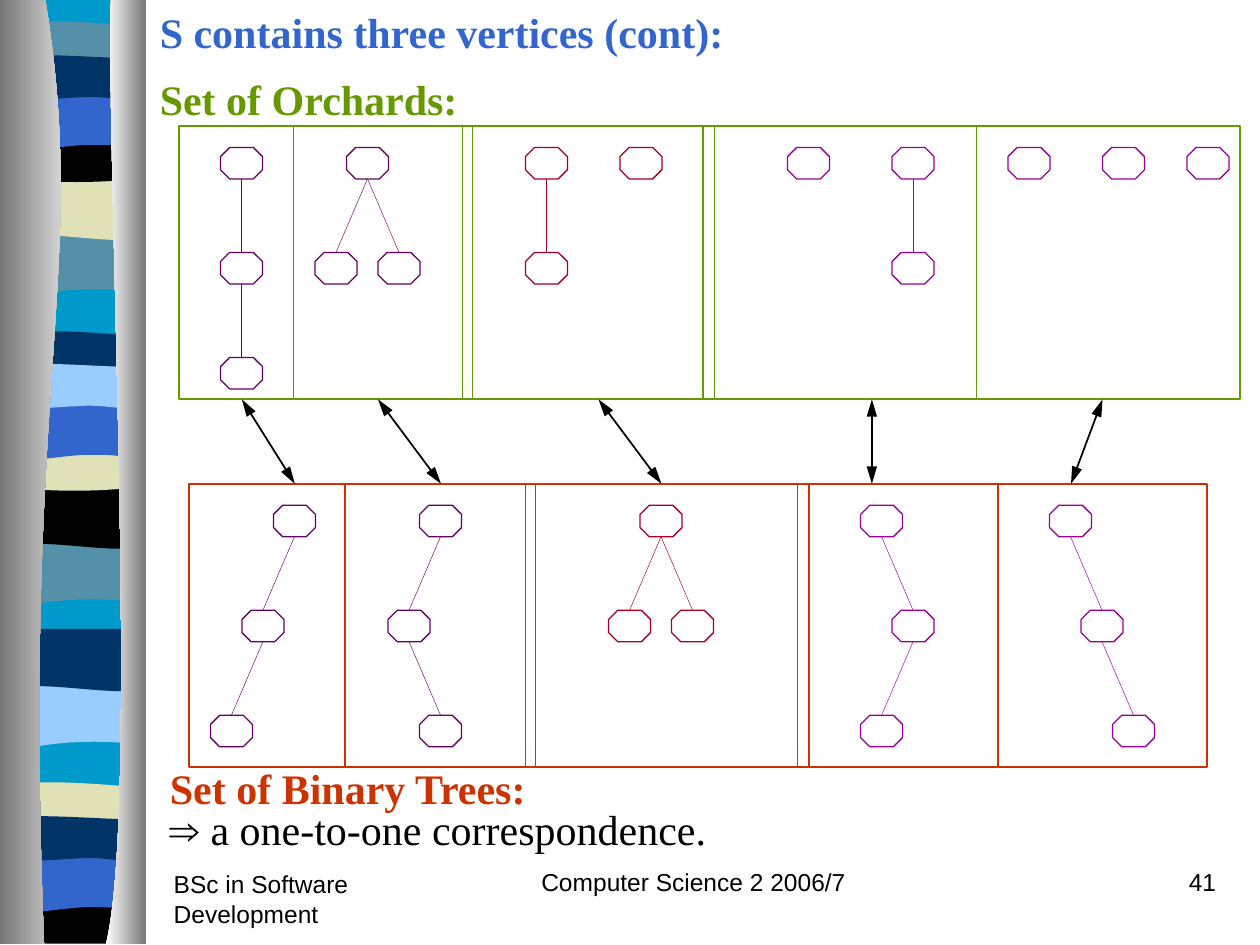
from dataclasses import dataclass

import lxml.etree
import pptx
import pptx.dml.color
import pptx.enum.shapes
import pptx.enum.text
import pptx.oxml.ns
import pptx.util

Inches = pptx.util.Inches
Pt = pptx.util.Pt
SHAPES = pptx.enum.shapes.MSO_SHAPE
ALIGN = pptx.enum.text.PP_ALIGN
Point = tuple[float, float]

BLACK, NAVY, BLUE, CYAN = "000000", "003366", "3366CC", "0099CC"
SKY, TEAL, SAND = "99CCFF", "5490A8", "E1E1B7"
GREEN, ORANGE = "669900", "CC3300"
PURPLE, RED, MAGENTA = "660066", "A50021", "990099"
SILVER, WHITE = "767676", "FFFFFF"
SERIF, SANS = "Times New Roman", "Arial"

NODE_WIDTH, NODE_HEIGHT, LEVEL_STEP = 1 / 3, 0.25, 5 / 6
RIBBON_WIDTH, RIBBON_BOTTOM = 1.08, 7.49
UNITS_PER_INCH = 1000


@dataclass(frozen=True)
class Wave:
    """Band outline: Bezier controls from the right end (bottom) and left end (top)."""
    height: float
    bottom: tuple[Point, ...] = ()
    top: tuple[Point, ...] = ()


@dataclass(frozen=True)
class Band:
    left: float
    top: float
    wave: Wave
    colour: str


@dataclass(frozen=True)
class Tree:
    """Nodes are (left, level); edges are (parent, child) node numbers."""
    colour: str
    nodes: tuple[tuple[float, int], ...]
    edges: tuple[tuple[int, int], ...] = ()


@dataclass(frozen=True)
class Panel:
    left: float
    top: float
    width: float
    height: float
    colour: str
    dividers: tuple[float, ...]
    first_level: float
    trees: tuple[Tree, ...]


@dataclass(frozen=True)
class Span:
    text: str
    colour: str = BLACK
    size: int = 24
    name: str = SERIF
    bold: bool = False


SWELL = Wave(0.47, ((-0.75, -0.08), (-0.9, 0.08), (-1.08, 0)))
ROLL = Wave(0.47, ((-0.18, 0.08), (-0.75, -0.06), (-1.08, 0)))
THIN = Wave(0.24, ((-0.18, 0.04), (-0.9, 0.04), (-1.08, 0)),
            ((0.06, -0.05), (0.23, -0.04), (0.41, -0.04),
             (0.59, -0.04), (0.94, -0.01), (1.08, 0)))
SAG_TOP = ((0.66, 0.05), (0.85, 0), (1.08, 0))
SAG = Wave(0.32, ((-0.18, 0.06), (-0.9, 0.06), (-1.08, 0)), SAG_TOP)
FLAT = Wave(0.37, (), SAG_TOP)
ARCH = Wave(0.47, ((-0.17, -0.06), (-0.24, -0.06), (-0.42, -0.06),
                   (-0.6, -0.06), (-0.92, 0), (-1.08, 0)))
RIPPLE = Wave(0.31, ((-0.07, 0.05), (-0.24, 0), (-0.42, 0),
                     (-0.6, 0), (-0.97, 0.05), (-1.08, 0)),
              ((0.15, -0.05), (0.73, 0), (0.91, 0), (1.09, 0), (1.04, 0), (1.08, 0)))

BANDS = (
    Band(0.06, 0, Wave(RIBBON_BOTTOM - 0.02), CYAN),
    Band(0.06, 1.85, SWELL, TEAL), Band(0.06, 1.41, ROLL, SAND),
    Band(0.06, 0.21, THIN, TEAL), Band(0.06, 1.08, SAG, BLACK),
    Band(0.06, 0.74, ARCH, BLUE), Band(0.06, 0.46, RIPPLE, NAVY),
    Band(0.05, 4.31, SWELL, TEAL), Band(0.05, 3.86, ROLL, BLACK),
    Band(0.05, 2.67, THIN, NAVY), Band(0.05, 3.53, SAG, SAND),
    Band(0.05, 3.2, ARCH, BLUE), Band(0.05, 2.91, RIPPLE, SKY),
    Band(0.06, 5.44, SWELL, SKY), Band(0.06, 4.99, ROLL, NAVY),
    Band(0.05, 6.25, THIN, SAND), Band(0.05, 7.12, FLAT, BLACK),
    Band(0.05, 6.79, ARCH, BLUE), Band(0.05, 6.5, RIPPLE, NAVY),
)

CHAIN, FORK = ((0, 1), (1, 2)), ((0, 1), (0, 2))
ORCHARDS = Panel(1.42, 1, 8.42, 2.17, GREEN, (2.33, 3.67, 3.75, 5.58, 5.67, 7.75), 1.17, (
    Tree(PURPLE, ((1.75, 0), (1.75, 1), (1.75, 2)), CHAIN),
    Tree(PURPLE, ((2.75, 0), (2.5, 1), (3, 1)), FORK),
    Tree(RED, ((4.17, 0), (4.17, 1), (4.92, 0)), ((0, 1),)),
    Tree(MAGENTA, ((7.08, 0), (7.08, 1), (6.25, 0)), ((0, 1),)),
    Tree(MAGENTA, ((8, 0), (8.75, 0), (9.42, 0))),
))
BINARY_TREES = Panel(1.5, 3.84, 8.08, 2.25, ORANGE, (2.74, 4.17, 4.25, 6.33, 6.42, 7.92), 4.01, (
    Tree(PURPLE, ((2.17, 0), (1.92, 1), (1.67, 2)), CHAIN),
    Tree(PURPLE, ((3.33, 0), (3.08, 1), (3.33, 2)), CHAIN),
    Tree(RED, ((5.08, 0), (4.83, 1), (5.33, 1)), FORK),
    Tree(MAGENTA, ((6.83, 0), (7.08, 1), (6.83, 2)), CHAIN),
    Tree(MAGENTA, ((8.33, 0), (8.58, 1), (8.83, 2)), CHAIN),
))
MATCHES = ((1.92, 2.34), (3, 3.5), (4.75, 5.25), (6.92, 6.92), (8.75, 8.5))


def rgb(colour: str) -> pptx.dml.color.RGBColor:
    return pptx.dml.color.RGBColor.from_string(colour)


def curves(start: Point, controls: tuple[Point, ...]) -> list[list[Point]]:
    """Joined cubic Bezier steps whose controls are offsets from start."""
    points = [(start[0] + x, start[1] + y) for x, y in controls]
    return [points[first:first + 3] for first in range(0, len(points), 3)]


def add_outline(page, start: Point, steps: list[list[Point]]):
    """Closed outline; a step of one point is a line, of three a Bezier curve."""
    units = [(x * UNITS_PER_INCH, y * UNITS_PER_INCH)
             for x, y in [start] + [point for step in steps for point in step]]
    builder = page.shapes.build_freeform(*units[0], scale=Inches(1) / UNITS_PER_INCH)
    builder.add_line_segments(units[1:], close=True)
    shape = builder.convert_to_shape()
    lines = iter(shape._element.xpath(".//a:lnTo"))
    for step in steps:
        parts = [next(lines) for _ in step]
        if len(parts) == 3:
            curve = lxml.etree.Element(pptx.oxml.ns.qn("a:cubicBezTo"))
            parts[0].addprevious(curve)
            for part in parts:
                curve.append(part[0])
                part.getparent().remove(part)
    shape.shadow.inherit = False
    shape.line.fill.background()
    return shape


def add_band(page, band: Band) -> None:
    right, bottom = band.left + RIBBON_WIDTH, band.top + band.wave.height
    steps = curves((band.left, band.top), band.wave.top) or [[(right, band.top)]]
    steps += [[(right, bottom)]]
    steps += curves((right, bottom), band.wave.bottom) or [[(band.left, bottom)]]
    shape = add_outline(page, (band.left, band.top), steps)
    shape.fill.solid()
    shape.fill.fore_color.rgb = rgb(band.colour)


def add_bar(page, side: float, start: Point, controls: tuple[Point, ...],
            colours: tuple[str, str]) -> None:
    """Metal bar between a straight side and a curved edge."""
    steps = curves(start, controls) + [[(side, RIBBON_BOTTOM)], [(side, 0)]]
    shape = add_outline(page, start, steps)
    shape.fill.gradient()
    shape.fill.gradient_angle = 0
    for stop, colour in zip(shape.fill.gradient_stops, colours):
        stop.color.rgb = rgb(colour)


def add_frame(page, kind, box: tuple[float, ...], colour: str, weight: float) -> None:
    shape = page.shapes.add_shape(kind, *map(Inches, box))
    shape.shadow.inherit = False
    shape.fill.background()
    shape.line.color.rgb = rgb(colour)
    shape.line.width = Pt(weight)


def add_line(page, start: Point, end: Point, colour: str, weight: float,
             arrows: bool = False) -> None:
    line = page.shapes.add_connector(pptx.enum.shapes.MSO_CONNECTOR.STRAIGHT,
                                     *map(Inches, start + end))
    line.line.color.rgb = rgb(colour)
    line.line.width = Pt(weight)
    if arrows:
        for tag in ("a:headEnd", "a:tailEnd"):
            lxml.etree.SubElement(line.line._get_or_add_ln(), pptx.oxml.ns.qn(tag),
                                  type="triangle", w="med", len="lg")
    lxml.etree.SubElement(line._element.spPr, pptx.oxml.ns.qn("a:effectLst"))


def add_panel(page, panel: Panel) -> None:
    for tree in panel.trees:
        corners = [(left, panel.first_level + level * LEVEL_STEP) for left, level in tree.nodes]
        for corner in corners:
            add_frame(page, SHAPES.OCTAGON, corner + (NODE_WIDTH, NODE_HEIGHT), tree.colour, 0.75)
        for parent, child in tree.edges:
            (x1, y1), (x2, y2) = corners[parent], corners[child]
            add_line(page, (x1 + NODE_WIDTH / 2, y1 + NODE_HEIGHT),
                     (x2 + NODE_WIDTH / 2, y2), tree.colour, 0.25)
    add_frame(page, SHAPES.RECTANGLE, (panel.left, panel.top, panel.width, panel.height),
              panel.colour, 1)
    for x in panel.dividers:
        add_line(page, (x, panel.top), (x, panel.top + panel.height), panel.colour, 1)


def add_text(page, box: tuple[float, ...], paragraphs: list[list[Span]],
             align=ALIGN.LEFT, spacing: float = 1.0) -> None:
    frame = page.shapes.add_textbox(*map(Inches, box)).text_frame
    frame.word_wrap = True
    for number, spans in enumerate(paragraphs):
        para = frame.add_paragraph() if number else frame.paragraphs[0]
        layout = {"alignment": align, "line_spacing": spacing,
                  "space_before": Pt(15 if number else 0)}
        for key, value in layout.items():
            setattr(para, key, value)
        for span in spans:
            run = para.add_run()
            run.text = span.text
            run.font.color.rgb = rgb(span.colour)
            for key, value in {"size": Pt(span.size), "name": span.name,
                               "bold": span.bold}.items():
                setattr(run.font, key, value)


def main() -> None:
    deck = pptx.Presentation()
    deck.slide_width, deck.slide_height = Inches(10), Inches(7.5)
    page = deck.slides.add_slide(deck.slide_layouts[6])

    for band in BANDS:
        add_band(page, band)
    add_bar(page, 0, (0.36, 0), ((0.35, 2.16), (-0.19, 2.96), (-0.01, RIBBON_BOTTOM)),
            (SILVER, WHITE))
    add_bar(page, 1.16, (0.88, 0), ((-0.04, 1.25), (0.23, 6.46), (-0.04, RIBBON_BOTTOM)),
            (WHITE, SILVER))

    footers = (((1.28, 6.85, 2.08, 0.5), "BSc in Software Development", ALIGN.LEFT),
               ((3.92, 6.83, 3.17, 0.5), "Computer Science 2 2006/7", ALIGN.CENTER),
               ((7.67, 6.83, 2.08, 0.5), "41", ALIGN.RIGHT))
    for box, text, align in footers:
        add_text(page, box, [[Span(text, size=14, name=SANS)]], align)

    add_text(page, (1.17, 0.08, 8.83, 0.95),
             [[Span("S contains three vertices (cont):", BLUE, bold=True)],
              [Span("Set of Orchards:", GREEN, bold=True)]], spacing=0.8)
    for panel in (ORCHARDS, BINARY_TREES):
        add_panel(page, panel)
    add_text(page, (1.25, 6, 8.33, 0.5), [[Span("Set of Binary Trees:", ORANGE, bold=True)]])
    for upper, lower in MATCHES:
        add_line(page, (upper, ORCHARDS.top + ORCHARDS.height), (lower, BINARY_TREES.top),
                 BLACK, 1, arrows=True)
    add_text(page, (1.25, 6.33, 8.5, 0.5),
             [[Span("⇒", name=SANS), Span(" a one-to-one correspondence.")]])
    deck.save("out.pptx")


if __name__ == "__main__":
    main()
